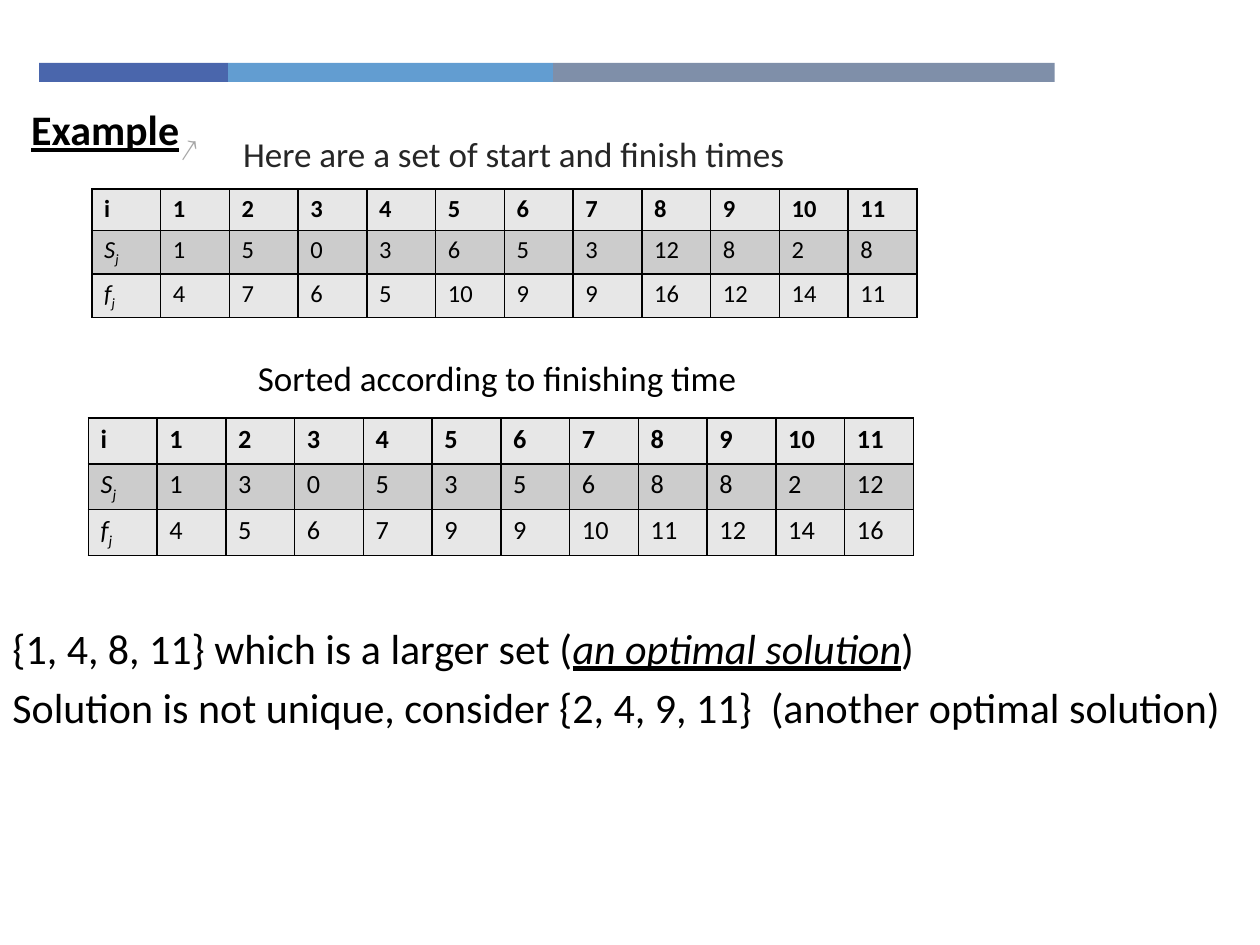
from pptx import Presentation
from pptx.dml.color import RGBColor
from pptx.enum.shapes import MSO_SHAPE
from pptx.enum.text import MSO_ANCHOR, MSO_AUTO_SIZE
from pptx.oxml.ns import qn
from pptx.util import Cm, Pt
from lxml import etree

RECT = MSO_SHAPE.RECTANGLE
TOP = MSO_ANCHOR.TOP
FIT_SHAPE = MSO_AUTO_SIZE.SHAPE_TO_FIT_TEXT

BLACK = RGBColor(0x00, 0x00, 0x00)
DARK = RGBColor(0x26, 0x26, 0x26)
LIGHT_ROW = RGBColor(0xE7, 0xE7, 0xE7)
DARK_ROW = RGBColor(0xCC, 0xCC, 0xCC)
BLUE = RGBColor(0x4A, 0x66, 0xAC)
SKY = RGBColor(0x62, 0x9D, 0xD1)
SLATE = RGBColor(0x7F, 0x8F, 0xA9)
BULLET_GREY = "A6A6A6"
FONT = "Calibri"

# Lengths are in centimetres
BAR_LEFT, BAR_TOP, BAR_HEIGHT = 0.79, 1.27, 0.38
BARS = [(3.81, BLUE), (6.55, SKY), (10.11, SLATE)]

TABLE_WIDTH = 16.64
ACTIVITIES = list(range(1, 12))
TABLES = [
    {"at": (1.85, 3.81), "height": 2.51, "size": 14,
     "start": [1, 5, 0, 3, 6, 5, 3, 12, 8, 2, 8],
     "finish": [4, 7, 6, 5, 10, 9, 9, 16, 12, 14, 11]},
    {"at": (1.78, 8.43), "height": 2.77, "size": 15,
     "start": [1, 3, 0, 5, 3, 5, 6, 8, 8, 2, 12],
     "finish": [4, 5, 6, 7, 9, 9, 10, 11, 12, 14, 16]},
]

TITLE = [[("Example", {"bold": True, "underline": True})]]
INTRO = [[("Here are a set of start and finish times", {})]]
SORTED_CAPTION = [[("Sorted according to finishing time", {})]]
SOLUTIONS = [
    [("{1, 4, 8, 11} which is a larger set (", {}),
     ("an optimal solution", {"italic": True, "underline": True}),
     (")", {})],
    [("Solution is not unique, consider {2, 4, 9, 11}  (another optimal solution)", {})],
]


def add_run(p, text, size, color=BLACK, **fmt):
    r = p.add_run()
    r.text = text
    for name, value in {"name": FONT, "size": Pt(size), **fmt}.items():
        setattr(r.font, name, value)
    r.font.color.rgb = color
    return r


def add_text(s, box, paragraphs, size, color=BLACK, wrap=True, space=0):
    tf = s.shapes.add_textbox(*map(Cm, box)).text_frame
    tf.word_wrap = wrap
    if not wrap:
        tf.auto_size = FIT_SHAPE
    for n, runs in enumerate(paragraphs):
        p = tf.add_paragraph() if n else tf.paragraphs[0]
        p.space_before = Pt(space)
        for text, fmt in runs:
            add_run(p, text, size, color, **fmt)
    return tf


def add_bullet(p, char, indent, color, percent):
    pPr = p._p.get_or_add_pPr()
    pPr.set("marL", str(Cm(indent)))
    pPr.set("indent", str(-Cm(indent)))
    bu_color = etree.SubElement(pPr, qn("a:buClr"))
    etree.SubElement(bu_color, qn("a:srgbClr"), val=color)
    etree.SubElement(pPr, qn("a:buSzPct"), val=str(percent * 1000))
    etree.SubElement(pPr, qn("a:buChar"), char=char)


def add_borders(cell):
    tcPr = cell._tc.get_or_add_tcPr()
    for side in ("lnL", "lnR", "lnT", "lnB"):
        ln = etree.SubElement(tcPr, qn(f"a:{side}"), w=str(Pt(1)))
        fill = etree.SubElement(ln, qn("a:solidFill"))
        etree.SubElement(fill, qn("a:srgbClr"), val=str(BLACK))


def fill_cell(cell, value, size, row):
    add_borders(cell)
    cell.fill.solid()
    cell.fill.fore_color.rgb = DARK_ROW if row == 1 else LIGHT_ROW
    cell.margin_left = cell.margin_right = Cm(0.25)
    cell.margin_top = cell.margin_bottom = Cm(0.1)
    cell.vertical_anchor = TOP
    p = cell.text_frame.paragraphs[0]
    label = value in ("S", "f")
    add_run(p, str(value), size, bold=row == 0, italic=label)
    if label:
        r = add_run(p, "j", size, bold=False, italic=True)
        r._r.get_or_add_rPr().set("baseline", "-25000")


def add_schedule(s, at, height, size, start, finish):
    rows = [["i", *ACTIVITIES], ["S", *start], ["f", *finish]]
    columns = len(rows[0])
    table = s.shapes.add_table(len(rows), columns, *map(Cm, at),
                               Cm(TABLE_WIDTH), Cm(height)).table
    for column in table.columns:
        column.width = Cm(TABLE_WIDTH / columns)
    for i, values in enumerate(rows):
        table.rows[i].height = Cm(height / len(rows))
        for j, value in enumerate(values):
            fill_cell(table.cell(i, j), value, size, i)


def add_bars(s):
    left = BAR_LEFT
    for width, color in BARS:
        sp = s.shapes.add_shape(RECT, Cm(left), Cm(BAR_TOP), Cm(width), Cm(BAR_HEIGHT))
        sp.shadow.inherit = False
        sp.fill.solid()
        sp.fill.fore_color.rgb = color
        sp.line.fill.background()
        left += width


def main():
    prs = Presentation()
    prs.slide_width, prs.slide_height = Cm(25.4), Cm(19.05)
    s = prs.slides.add_slide(prs.slide_layouts[6])
    add_bars(s)
    add_text(s, (0.38, 1.96, 3.53, 1.27), TITLE, 24, wrap=False)
    intro = add_text(s, (3.38, 2.54, 15.42, 0.97), INTRO, 20, DARK)
    add_bullet(intro.paragraphs[0], "↗", 1.27, BULLET_GREY, 90)
    for schedule in TABLES:
        add_schedule(s, **schedule)
    add_text(s, (4.95, 7.06, 10.26, 1.12), SORTED_CAPTION, 20, wrap=False)
    add_text(s, (0, 12.42, 25.4, 3.73), SOLUTIONS, 24, space=4.8)
    prs.save("out.pptx")


if __name__ == "__main__":
    main()
